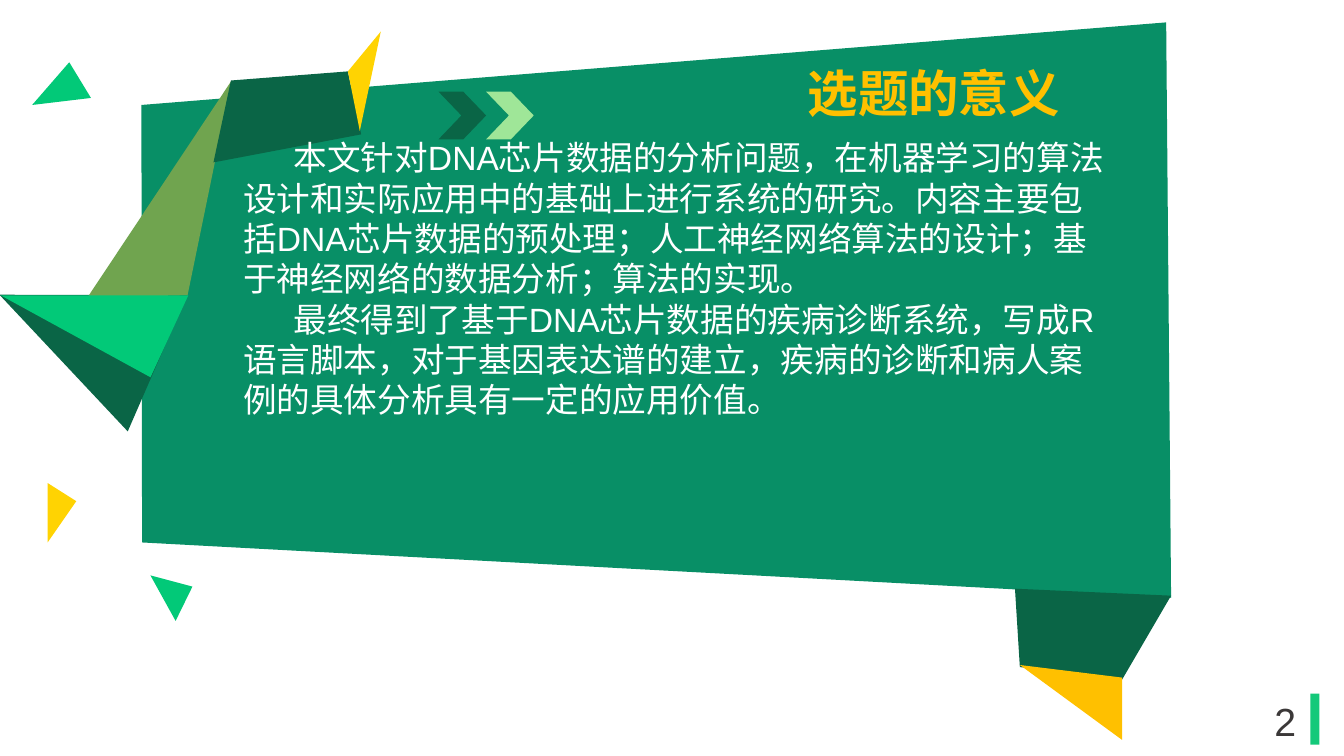
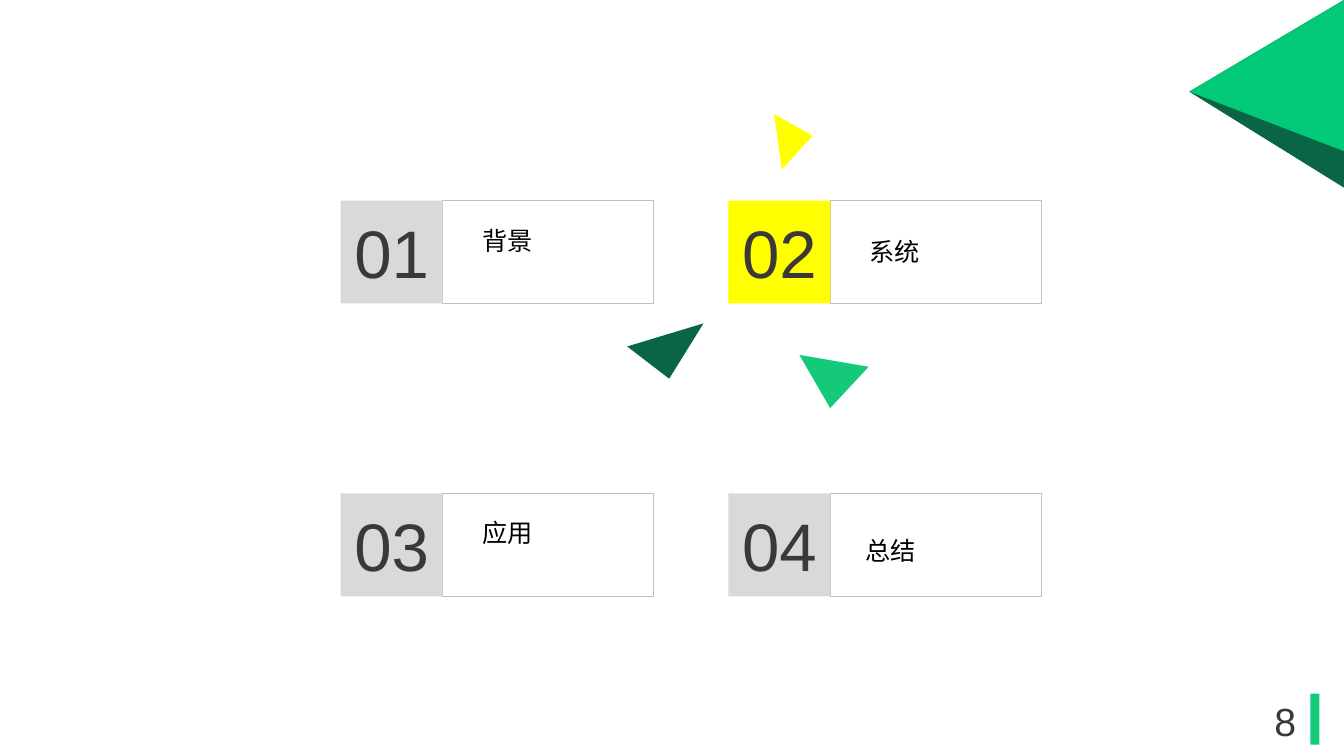
import pptx
import pptx.util
import pptx.dml.color
import pptx.enum.shapes
import pptx.enum.text

Pt = pptx.util.Pt
SHAPE = pptx.enum.shapes.MSO_SHAPE
ALIGN = pptx.enum.text.PP_ALIGN
ANCHOR = pptx.enum.text.MSO_ANCHOR

FONT = "Arial"
PINE, JADE, MINT, LIME = "0A6546", "088F66", "02C978", "14C97A"
GOLD, SUN, YELLOW, GREY, INK = "FFC000", "FFD302", "FFFF00", "D9D9D9", "3B3838"

TITLE = "选题的意义"
BODY = [
    "本文针对DNA芯片数据的分析问题，在机器学习的算法设计和实际应用中的基础上进行系统的研究。"
    "内容主要包括DNA芯片数据的预处理；人工神经网络算法的设计；基于神经网络的数据分析；算法的实现。",
    "最终得到了基于DNA芯片数据的疾病诊断系统，写成R语言脚本，对于基因表达谱的建立，"
    "疾病的诊断和病人案例的具体分析具有一定的应用价值。",
]
PANEL = [
    (JADE, [(101, 75), (833, 16), (836.5, 427), (101.5, 387.5)]),
    (PINE, [(725, 420.5), (836.5, 425.5), (801.5, 485.5), (728.5, 476.5)]),
    (GOLD, [(728.5, 475), (801.5, 484), (801.5, 528.5)]),
]
RIBBON = [
    ("70A44F", [(62.5, 212.5), (134, 211), (165.5, 57.5)]),
    (PINE, [(152.5, 116), (165, 57.5), (248.5, 51), (258, 96)]),
    (SUN, [(248.5, 51), (272, 22.5), (257, 93.5)]),
    (MINT, [(0.5, 211), (134.5, 211), (107.5, 269.5)]),
]
CONFETTI = [
    (MINT, [(49.5, 44.5), (23, 75), (65, 70)]),
    (SUN, [(34, 345), (34, 387.5), (54.5, 358)]),
    (MINT, [(107.5, 411), (137.5, 419), (125.5, 443.5)]),
]
CHEVRONS = [PINE, "9FE698"]

AGENDA = [
    ("01", "背景", GREY, (94.5, 14)),
    ("02", "系统", YELLOW, (93.5, 22)),
    ("03", "应用", GREY, (94, 13.5)),
    ("04", "总结", GREY, (91, 26.5)),
]
AGENDA_TRIANGLES = [
    (PINE, [(448, 247.5), (478, 270.5), (502.5, 231)]),
    (YELLOW, [(553, 81.5), (558.5, 121), (580.5, 97)]),
    (LIME, [(620.5, 262), (571, 253.5), (593, 291.5)]),
    (PINE, [(849.5, 65.5), (960, 0), (960, 134)]),
    (MINT, [(849.5, 65.5), (960, 0), (960, 108)]),
]
GRID_LEFT, GRID_TOP, COLUMN_STEP, ROW_STEP = 243.25, 143.25, 277, 209.25
NUMBER_W, CARD_W, CARD_H = 73, 150.5, 73.5


def color(value):
    return pptx.dml.color.RGBColor.from_string(value)


def paint(sp, fill=None, line=None):
    sp.shadow.inherit = False
    if fill:
        sp.fill.solid()
        sp.fill.fore_color.rgb = color(fill)
    else:
        sp.fill.background()
    if line:
        sp.line.color.rgb = color(line)
        sp.line.width = Pt(1)
    else:
        sp.line.fill.background()
    return sp


def shape(s, kind, box, fill=None, line=None):
    return paint(s.shapes.add_shape(kind, *map(Pt, box)), fill, line)


def polygons(s, items):
    for fill, points in items:
        corners = [(Pt(x), Pt(y)) for x, y in points]
        builder = s.shapes.build_freeform(*corners[0])
        builder.add_line_segments(corners[1:], close=True)
        paint(builder.convert_to_shape(), fill)


def place(sp, box):
    for name, value in zip(("left", "top", "width", "height"), box):
        setattr(sp, name, Pt(value))
    return sp


def write(sp, lines, size, ink, align=ALIGN.LEFT, anchor=ANCHOR.TOP, bold=False):
    tf = sp.text_frame
    frame = {"word_wrap": True, "vertical_anchor": anchor,
             "auto_size": pptx.enum.text.MSO_AUTO_SIZE.NONE}
    for name, value in frame.items():
        setattr(tf, name, value)
    for i, line in enumerate(lines):
        p = tf.add_paragraph() if i else tf.paragraphs[0]
        p.alignment = align
        p.space_before = Pt(0)
        r = p.add_run()
        r.text = line
        for name, value in {"name": FONT, "size": Pt(size), "bold": bold}.items():
            setattr(r.font, name, value)
        r.font.color.rgb = color(ink)
    return tf


def textbox(s, box, text, size, ink, **style):
    return write(s.shapes.add_textbox(*map(Pt, box)), [text], size, ink, **style)


def new_slide(prs, layout, number):
    s = prs.slides.add_slide(prs.slide_layouts[layout])
    for sp in list(s.placeholders):
        if sp.placeholder_format.idx > 1:
            sp.element.getparent().remove(sp.element)
    shape(s, SHAPE.RECTANGLE, (936, 495.5, 6.5, 36.5), LIME)
    textbox(s, (890.5, 500.5, 55, 29), number, 28, INK,
            align=ALIGN.CENTER, anchor=ANCHOR.MIDDLE)
    return s


def meaning_slide(prs):
    s = new_slide(prs, 1, "2")
    polygons(s, PANEL)
    tail = shape(s, SHAPE.ISOSCELES_TRIANGLE, (3, 173.5, 106, 123), PINE)
    tail.rotation = 293.5
    polygons(s, RIBBON + CONFETTI)
    for i, fill in enumerate(CHEVRONS):
        chevron = shape(s, SHAPE.CHEVRON, (313.25 + 34 * i, 65.5, 34, 34), fill)
        chevron.adjustments[0] = 0.48
    title = place(s.shapes.title, (497, 41, 340, 51))
    body = place(s.placeholders[1], (166.5, 94.5, 637, 211))
    write(title, [TITLE], 36, GOLD, align=ALIGN.CENTER, bold=True)
    for p in write(body, BODY, 24, "FFFFFF").paragraphs:
        pPr = p._p.get_or_add_pPr()
        pPr.set("marL", "0")
        pPr.set("indent", str(Pt(36)))
        pPr.append(pptx.oxml.parse_xml(
            '<a:buNone xmlns:a="http://schemas.openxmlformats.org/drawingml/2006/main"/>'))
    for sp in (title, body):
        s.shapes._spTree.append(sp.element)


def agenda_slide(prs):
    s = new_slide(prs, 6, "8")
    for i, (number, label, fill, (dx, dy)) in enumerate(AGENDA):
        row, column = divmod(i, 2)
        x = GRID_LEFT + COLUMN_STEP * column
        y = GRID_TOP + ROW_STEP * row
        shape(s, SHAPE.RECTANGLE, (x + NUMBER_W, y, CARD_W, CARD_H), line="BFBFBF")
        tile = shape(s, SHAPE.RECTANGLE, (x, y, NUMBER_W, CARD_H), fill)
        write(tile, [number], 48, INK, align=ALIGN.CENTER, anchor=ANCHOR.MIDDLE)
        textbox(s, (x + dx, y + dy, 108.5, 29), label, 18, "000000")
    polygons(s, AGENDA_TRIANGLES)


prs = pptx.Presentation()
prs.slide_width, prs.slide_height = Pt(960), Pt(540)
meaning_slide(prs)
agenda_slide(prs)
prs.save("out.pptx")
